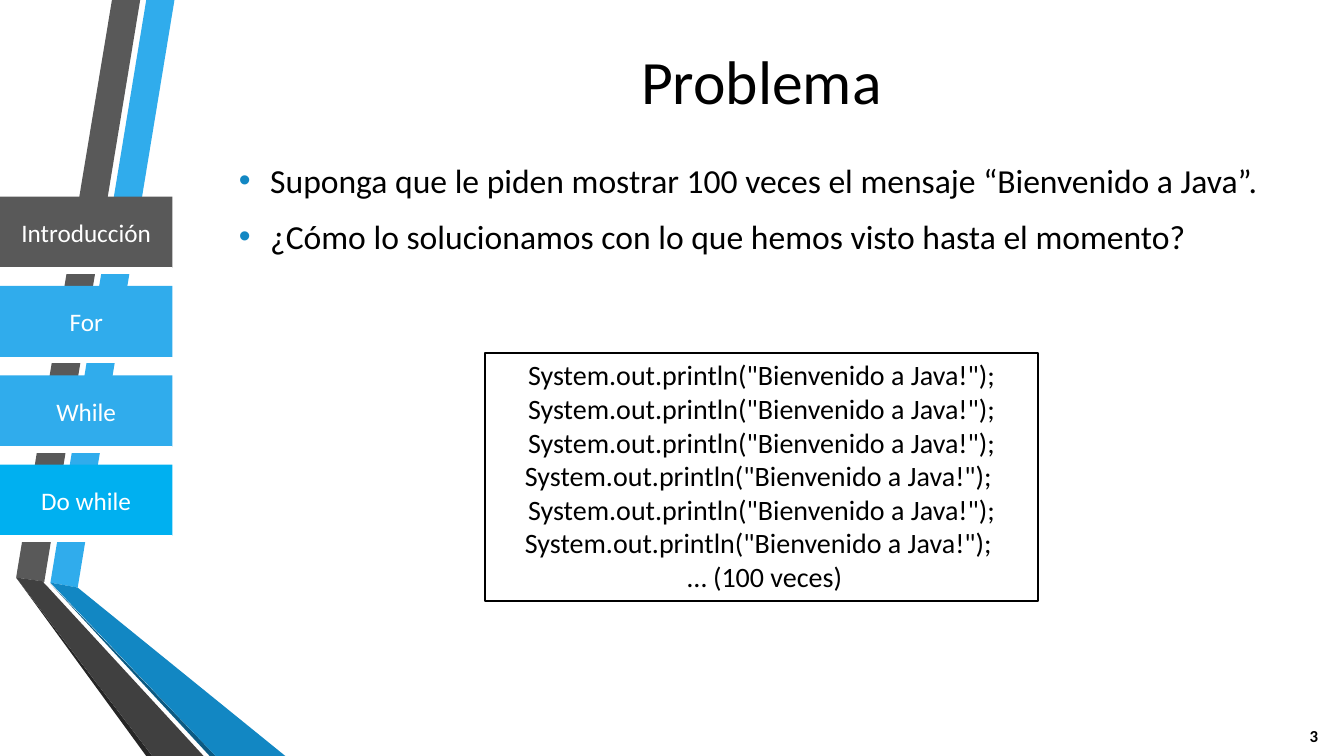
from dataclasses import dataclass

from lxml import etree
from pptx import Presentation
from pptx.dml.color import RGBColor
from pptx.enum.shapes import MSO_SHAPE
from pptx.enum.text import MSO_ANCHOR, MSO_AUTO_SIZE, PP_ALIGN
from pptx.oxml.ns import qn
from pptx.util import Inches, Pt

RECT = MSO_SHAPE.RECTANGLE
TOP, MIDDLE = MSO_ANCHOR.TOP, MSO_ANCHOR.MIDDLE
CENTER, JUSTIFY = PP_ALIGN.CENTER, PP_ALIGN.JUSTIFY
NO_FIT, GROW = MSO_AUTO_SIZE.NONE, MSO_AUTO_SIZE.SHAPE_TO_FIT_TEXT


@dataclass(frozen=True)
class Theme:
    font: str = "Calibri"
    title_size: int = 44
    body_size: int = 24
    code_size: int = 20
    tab_size: int = 18
    number_size: int = 12
    line_width: float = 1.25
    black: str = "000000"
    white: str = "FFFFFF"
    gray: str = "595959"
    gray_mid: str = "404040"
    gray_dark: str = "262626"
    blue: str = "30ACEC"
    blue_bright: str = "00B0F0"
    blue_mid: str = "1287C3"
    blue_dark: str = "0C5A82"


THEME = Theme()

# Content
TITLE = "Problema"
QUESTIONS = [
    "Suponga que le piden mostrar 100 veces el mensaje “Bienvenido a Java”.",
    "¿Cómo lo solucionamos con lo que hemos visto hasta el momento?",
]
PRINT = 'System.out.println("Bienvenido a Java!");'
CODE = [PRINT, PRINT, PRINT, PRINT + " ", PRINT, PRINT + " ", " … (100 veces)"]
PAGE_NUMBER = "3"
TABS = [
    ("Introducción", THEME.gray),
    ("For", THEME.blue),
    ("While", THEME.blue),
    ("Do while", THEME.blue_bright),
]

# Places, in percent of the slide's width and height: left, top, width, height
TITLE_BOX = (17.03, 3.2, 79.28, 14.8)
BODY_BOX = (17.03, 20.53, 79.28, 68)
CODE_BOX = (36.08, 46.67, 41.18, 32.8)
NUMBER_BOX = (95.5, 94.67, 4.5, 5.33)
TAB_FIRST, TAB_LAST = 26, 61.47
TAB_WIDTH, TAB_HEIGHT, STRIP_HEIGHT = 12.83, 9.47, 0.67

# Ribbon outlines, in the same percentages
RIBBONS = [
    (THEME.blue, [(3.75, 77.07), (5.78, 77.73), (12.98, 0), (10.88, 0)]),
    (THEME.gray, [(10.43, 0), (8.33, 0), (1.2, 76.4), (3.3, 76.93)]),
    (THEME.gray_dark, [(1.2, 76.4), (10.88, 100), (11.33, 100)]),
    (THEME.blue_dark, [(3.75, 77.2), (15.6, 100), (16.05, 100)]),
    (THEME.blue_mid, [(3.75, 77.07), (16.05, 100), (21.23, 100), (5.78, 77.73)]),
    (THEME.gray_mid, [(15.15, 100), (3.6, 77.73), (3.23, 77.07), (3.3, 76.93),
                      (1.2, 76.4), (11.33, 100)]),
]

deck = Presentation()
deck.slide_width, deck.slide_height = Inches(13.33), Inches(7.5)
slide = deck.slides.add_slide(deck.slide_layouts[1])


def across(percent):
    return round(deck.slide_width * percent / 100)


def down(percent):
    return round(deck.slide_height * percent / 100)


def frame(box):
    left, top, width, height = box
    return across(left), down(top), across(width), down(height)


def paint(shape, fill=None, line=None):
    shape.shadow.inherit = False
    if fill:
        shape.fill.solid()
        shape.fill.fore_color.rgb = RGBColor.from_string(fill)
    else:
        shape.fill.background()
    if line:
        shape.line.color.rgb = RGBColor.from_string(line)
        shape.line.width = Pt(THEME.line_width)
    else:
        shape.line.fill.background()


def add_box(box, fill=None, line=None):
    shape = slide.shapes.add_shape(RECT, *frame(box))
    paint(shape, fill, line)
    return shape


def write(shape, lines, size, color=THEME.black, bold=False, align=CENTER,
          anchor=MIDDLE, fit=NO_FIT, after=0):
    text = shape.text_frame
    text.word_wrap = True
    text.vertical_anchor = anchor
    text.auto_size = fit
    for index, line in enumerate(lines):
        paragraph = text.add_paragraph() if index else text.paragraphs[0]
        paragraph.alignment = align
        paragraph.space_after = Pt(after)
        run = paragraph.add_run()
        run.text = line
        run.font.name, run.font.size, run.font.bold = THEME.font, Pt(size), bold
        run.font.color.rgb = RGBColor.from_string(color)


def add_bullet(paragraph, color, indent):
    properties = paragraph._p.get_or_add_pPr()
    properties.set("marL", str(indent))
    properties.set("indent", str(-indent))
    bullet_color = etree.SubElement(properties, qn("a:buClr"))
    etree.SubElement(bullet_color, qn("a:srgbClr"), val=color)
    etree.SubElement(properties, qn("a:buFont"), typeface="Arial")
    etree.SubElement(properties, qn("a:buChar"), char="•")


def draw_ribbons():
    for color, outline in RIBBONS:
        start, *rest = [(across(x), down(y)) for x, y in outline]
        builder = slide.shapes.build_freeform(*start)
        builder.add_line_segments(rest, close=True)
        paint(builder.convert_to_shape(), color)


def draw_tabs():
    step = (TAB_LAST - TAB_FIRST) / (len(TABS) - 1)
    for row, (label, color) in enumerate(TABS):
        top = TAB_FIRST + row * step
        tab = add_box((0, top, TAB_WIDTH, TAB_HEIGHT), color)
        write(tab, [label], THEME.tab_size, THEME.white)
        add_box((0, top + TAB_HEIGHT, TAB_WIDTH, STRIP_HEIGHT),
                THEME.white, THEME.white)


def fill_placeholders():
    title, body = slide.shapes.title, slide.placeholders[1]
    for holder, box in ((title, TITLE_BOX), (body, BODY_BOX)):
        holder.left, holder.top, holder.width, holder.height = frame(box)
    write(title, [TITLE], THEME.title_size)
    write(body, QUESTIONS, THEME.body_size, align=JUSTIFY, anchor=TOP, after=6)
    for paragraph in body.text_frame.paragraphs:
        add_bullet(paragraph, THEME.blue_mid, Inches(0.31))


def main():
    draw_ribbons()
    draw_tabs()
    fill_placeholders()
    write(add_box(NUMBER_BOX), [PAGE_NUMBER], THEME.number_size, bold=True)
    write(add_box(CODE_BOX, THEME.white, THEME.black), CODE, THEME.code_size,
          anchor=TOP, fit=GROW)
    deck.save("out.pptx")


if __name__ == "__main__":
    main()
